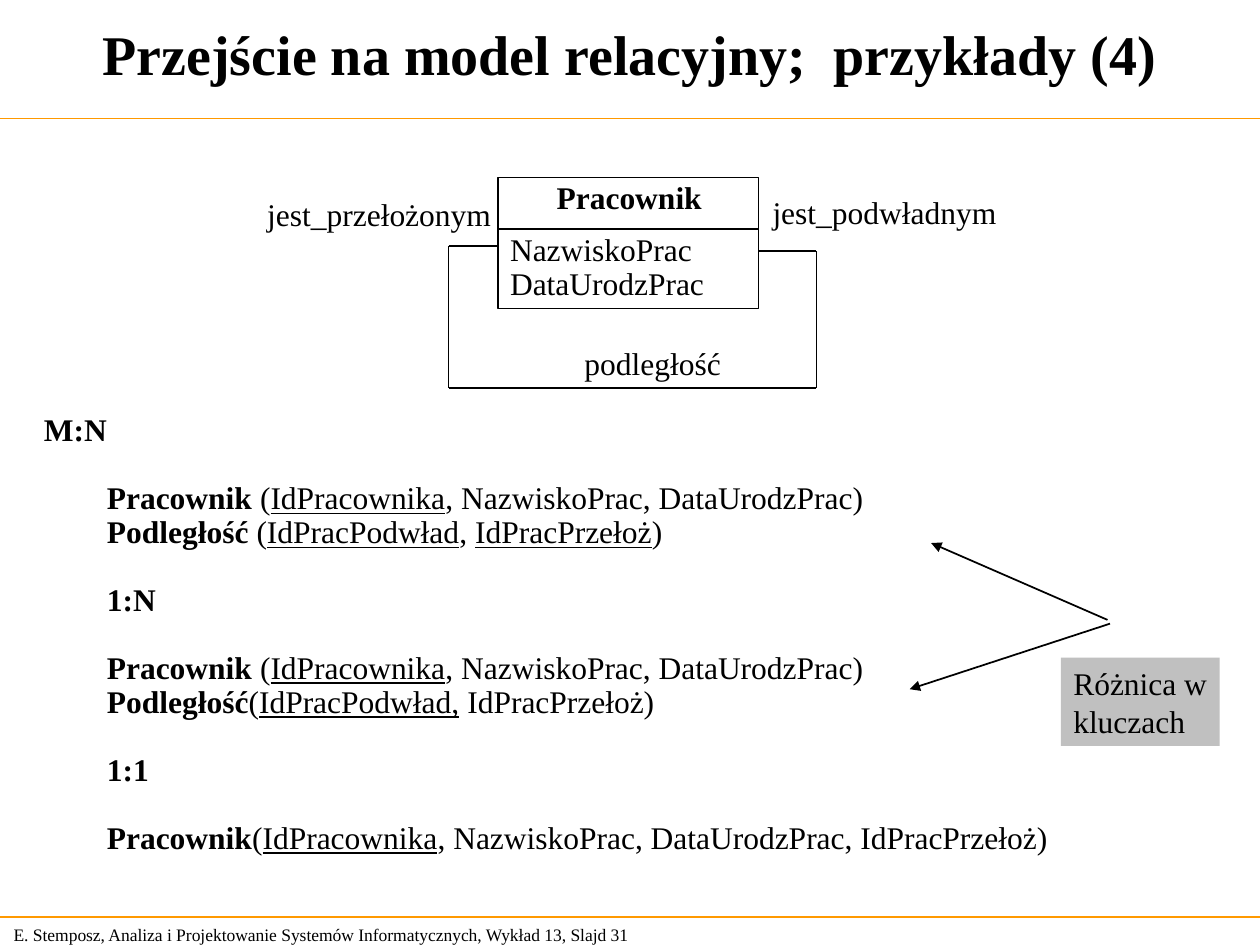
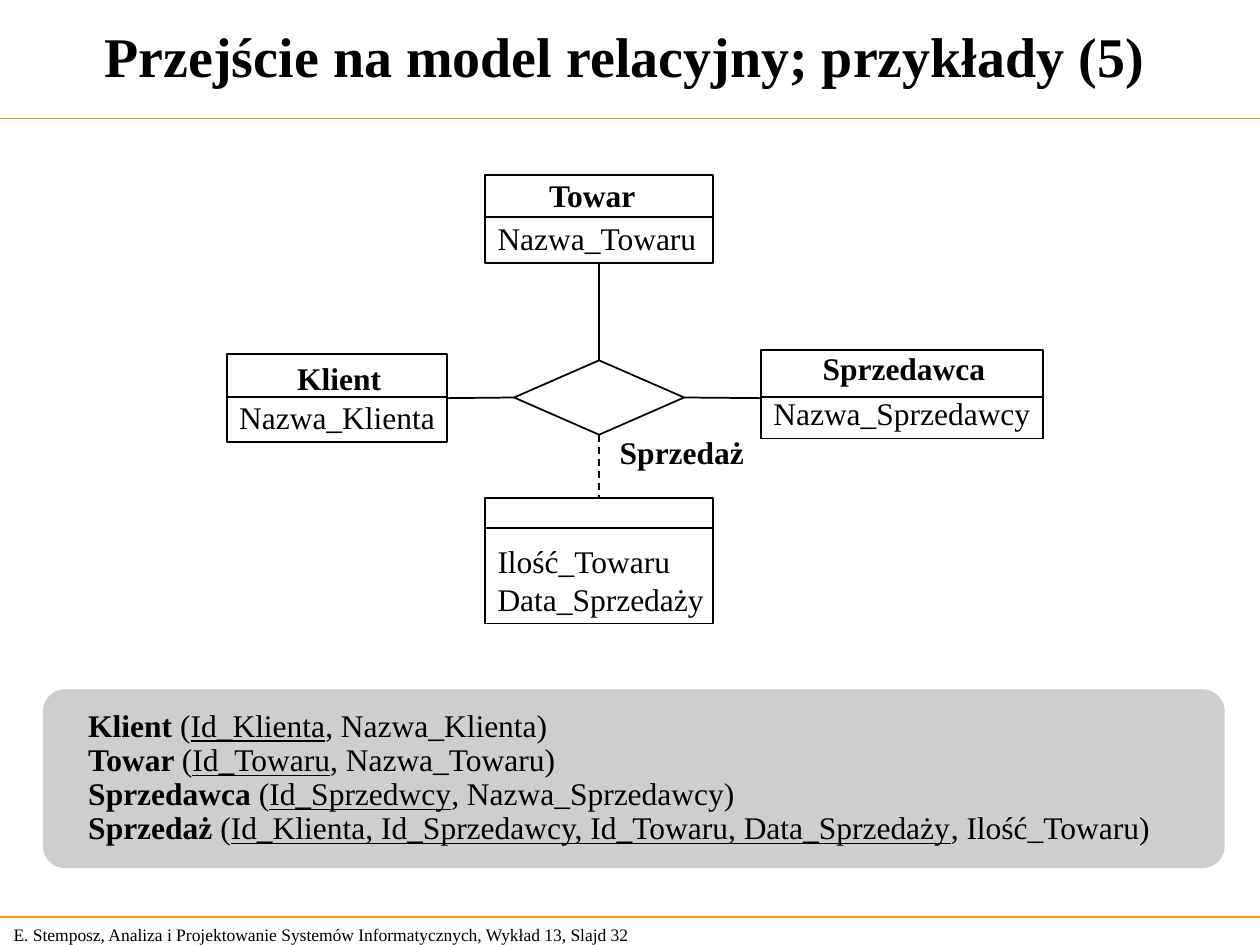
import itertools

import pptx
import pptx.dml.color
import pptx.enum.dml
import pptx.enum.shapes
import pptx.enum.text
import pptx.oxml.ns
import pptx.util
from lxml import etree

Inches = pptx.util.Inches
Pt = pptx.util.Pt
Shape = pptx.enum.shapes.MSO_SHAPE
Anchor = pptx.enum.text.MSO_ANCHOR
Align = pptx.enum.text.PP_ALIGN

COLORS = {
    "text": "000000",
    "line": "000000",
    "rule": "FF9900",
    "note": "C0C0C0",
    "panel": "CECECE",
}
FONT = "Times New Roman"
BODY_SIZE = 18
TIGHT = 0.9
BLANK_LINE = 19.4
FOOTER = "E. Stemposz, Analiza i Projektowanie Systemów Informatycznych, Wykład 13, Slajd {}"
TOP, LEFT, BOTTOM, RIGHT = range(4)


def rgb(name):
    return pptx.dml.color.RGBColor.from_string(COLORS[name])


def add_drawing_element(parent, tag, **attributes):
    etree.SubElement(parent, pptx.oxml.ns.qn(tag), attributes)


def write(shape, paragraphs, size=BODY_SIZE, align=Align.LEFT, anchor=Anchor.MIDDLE,
          spacing=1.0):
    """Fill a shape with paragraphs, each a tuple (runs, indent, points before).

    A run is a tuple (text, style), where style holds "b" for bold, "u" for underlined.
    """
    frame = shape.text_frame
    frame.word_wrap = True
    frame.vertical_anchor = anchor
    frame.margin_left = Inches(0.1)
    frame.margin_right = Inches(0.1 if align == Align.CENTER else 0)
    frame.margin_top = frame.margin_bottom = Inches(0.05)
    for index, (runs, indent, before) in enumerate(paragraphs):
        paragraph = frame.add_paragraph() if index else frame.paragraphs[0]
        paragraph.alignment = align
        paragraph.line_spacing = spacing
        paragraph.space_before = Pt(before)
        if indent:
            paragraph._p.get_or_add_pPr().set("marL", str(Inches(indent)))
        for text, style in runs:
            run = paragraph.add_run()
            run.text = text
            run.font.name = FONT
            run.font.size = Pt(size)
            run.font.bold = "b" in style
            run.font.underline = "u" in style
            run.font.color.rgb = rgb("text")


def lines(*texts, style=""):
    return [([(text, style)], 0, 0) for text in texts]


def relation(name, *parts):
    """Runs of a relation: bold name, then plain and underlined (key) parts in turn."""
    return [(name, "b"), *zip(parts, itertools.cycle(["", "u"]))]


def add_text(slide, box, paragraphs, **options):
    shape = slide.shapes.add_textbox(*map(Inches, box))
    write(shape, paragraphs, **options)


def add_box(slide, kind, box, fill=None, outlined=False):
    shape = slide.shapes.add_shape(kind, *map(Inches, box))
    shape.shadow.inherit = False
    if fill:
        shape.fill.solid()
        shape.fill.fore_color.rgb = rgb(fill)
    else:
        shape.fill.background()
    if outlined:
        shape.line.color.rgb = rgb("line")
        shape.line.width = Pt(1)
    else:
        shape.line.fill.background()
    return shape


def add_line(slide, start, end, color="line", dashed=False, arrow=False):
    connector = slide.shapes.add_connector(
        pptx.enum.shapes.MSO_CONNECTOR.STRAIGHT, *map(Inches, (*start, *end)))
    connector.line.color.rgb = rgb(color)
    connector.line.width = Pt(1)
    if dashed:
        connector.line.dash_style = pptx.enum.dml.MSO_LINE.DASH
    if arrow:
        add_drawing_element(connector.line._get_or_add_ln(), "a:tailEnd", type="triangle")
    add_drawing_element(connector._element.spPr, "a:effectLst")
    return connector


def add_base_slide(presentation, title, title_box, number):
    """Slide with the shared title, orange rules and footer."""
    slide = presentation.slides.add_slide(presentation.slide_layouts[6])
    add_text(slide, (0.01, 7.28, 5.24, 0.27), lines(FOOTER.format(number)), size=10)
    for y in (0.94, 7.28):
        add_line(slide, (0, y), (10, y), color="rule")
    add_text(slide, title_box, lines(title, style="b"), size=32, align=Align.CENTER)
    return slide


def add_entity(slide, box, divider, attributes, name="", name_at=(0, 0), spacing=1.0):
    """Entity box; the divider and the name are placed from its top left corner."""
    left, top, width, height = box
    entity = add_box(slide, Shape.RECTANGLE, box, outlined=True)
    write(entity, lines(*attributes), anchor=Anchor.BOTTOM, spacing=spacing)
    add_line(slide, (left, top + divider), (left + width, top + divider))
    if name:
        dx, dy = name_at
        add_text(slide, (left + dx, top + dy, width - dx, 0.4), lines(name, style="b"),
                 anchor=Anchor.TOP, spacing=spacing)
    return entity


def add_employee_association(slide, left, top):
    """Employee entity with an association that loops back to it."""
    corners = [(0.39, 0.54), (0, 0.54), (0, 1.67), (2.92, 1.67), (2.92, 0.58), (2.46, 0.58)]
    points = [(left + x, top + y) for x, y in corners]
    for start, end in itertools.pairwise(points):
        add_line(slide, start, end)
    label_width, label_height = 2.1, 0.3
    label_centers = {
        "podległość": (1.62, 1.49),
        "jest_podwładnym": (3.46, 0.29),
        "jest_przełożonym": (-0.55, 0.31),
    }
    for label, (x, y) in label_centers.items():
        box = (left + x - label_width / 2, top + y - label_height / 2,
               label_width, label_height)
        add_text(slide, box, lines(label), align=Align.CENTER, spacing=TIGHT)
    add_entity(slide, (left + 0.39, top, 2.07, 1.04), 0.41,
               ["NazwiskoPrac", "DataUrodzPrac"], "Pracownik", (0.37, -0.01), TIGHT)


def add_cardinality_cases(slide, box):
    employee = relation("Pracownik ", "(", "IdPracownika", ", NazwiskoPrac, DataUrodzPrac)")
    many_to_many = relation("Podległość ", "(", "IdPracPodwład", ", ", "IdPracPrzełoż", ")")
    one_to_many = relation("Podległość", "(", "IdPracPodwład,", " IdPracPrzełoż)")
    one_to_one = relation("Pracownik", "(", "IdPracownika",
                          ", NazwiskoPrac, DataUrodzPrac, IdPracPrzełoż)")
    cases = {
        "M:N": [employee, many_to_many],
        "1:N": [employee, one_to_many],
        "1:1": [one_to_one],
    }
    paragraphs = []
    for cardinality, relations in cases.items():
        first = not paragraphs
        paragraphs.append(([(cardinality, "b")], 0 if first else 0.5, 0 if first else BLANK_LINE))
        for index, runs in enumerate(relations):
            paragraphs.append((runs, 0.5, 0 if index else BLANK_LINE))
    add_text(slide, box, paragraphs, spacing=TIGHT)


def add_key_note(slide, left, top):
    note = add_box(slide, Shape.RECTANGLE, (left, top, 1.26, 0.7), fill="note")
    write(note, lines("Różnica w", "kluczach"))
    add_line(slide, (left + 0.39, top - 0.27), (left - 1.2, top + 0.25), arrow=True)
    add_line(slide, (left + 0.37, top - 0.3), (left - 1.03, top - 0.91), arrow=True)


def add_sale_diagram(slide, left, top):
    """Diamond of the sale with the three entities and the attributes it links."""
    diamond = add_box(slide, Shape.DIAMOND, (left + 2.28, top + 1.47, 1.35, 0.59), outlined=True)
    client = add_entity(slide, (left, top + 1.42, 1.75, 0.7), 0.34,
                        ["Nazwa_Klienta"], "Klient", (0.46, -0.01))
    product = add_entity(slide, (left + 2.05, top, 1.81, 0.7), 0.33,
                         ["Nazwa_Towaru"], "Towar", (0.41, -0.04))
    add_entity(slide, (left + 4.24, top + 1.39, 2.24, 0.7), 0.37,
               ["Nazwa_Sprzedawcy"], "Sprzedawca", (0.39, -0.06))
    sale = add_entity(slide, (left + 2.05, top + 2.56, 1.81, 1), 0.24,
                      ["Ilość_Towaru", "Data_Sprzedaży"])
    for site, entity, entity_site in ((TOP, product, BOTTOM), (LEFT, client, RIGHT),
                                      (BOTTOM, sale, TOP)):
        link = add_line(slide, (left, top), (left, top), dashed=entity is sale)
        link.begin_connect(diamond, site)
        link.end_connect(entity, entity_site)
    seller_y = top + 1.77
    seller_link = add_line(slide, (left + 3.63, seller_y), (left + 4.24, seller_y))
    seller_link.begin_connect(diamond, RIGHT)
    add_text(slide, (left + 3.02, top + 2, 1.18, 0.4), lines("Sprzedaż", style="b"),
             anchor=Anchor.TOP)


def add_relations_panel(slide, box):
    panel = add_box(slide, Shape.ROUNDED_RECTANGLE, box, fill="panel")
    panel.adjustments[0] = 0.125
    relations = [
        relation("Klient ", "(", "Id_Klienta", ", Nazwa_Klienta)"),
        relation("Towar ", "(", "Id_Towaru", ", Nazwa_Towaru)"),
        relation("Sprzedawca ", "(", "Id_Sprzedwcy", ", Nazwa_Sprzedawcy)"),
        relation("Sprzedaż ", "(", "Id_Klienta, Id_Sprzedawcy, Id_Towaru, Data_Sprzedaży",
                 ", Ilość_Towaru)"),
    ]
    write(panel, [(runs, 0.21, 0) for runs in relations], spacing=TIGHT)


def add_employee_slide(presentation):
    slide = add_base_slide(presentation, "Przejście na model relacyjny;  przykłady (4)",
                           (0, 0, 10, 0.85), 31)
    add_employee_association(slide, 3.56, 1.41)
    add_cardinality_cases(slide, (0.25, 3.21, 8.28, 3.67))
    add_key_note(slide, 8.42, 5.22)


def add_sale_slide(presentation):
    slide = add_base_slide(presentation, "Przejście na model relacyjny; przykłady (5)",
                           (0, 0.01, 9.92, 0.85), 32)
    add_sale_diagram(slide, 1.8, 1.39)
    add_relations_panel(slide, (0.34, 5.47, 9.38, 1.42))


def main():
    presentation = pptx.Presentation()
    presentation.slide_width = Inches(10)
    presentation.slide_height = Inches(7.5)
    add_employee_slide(presentation)
    add_sale_slide(presentation)
    presentation.save("out.pptx")


if __name__ == "__main__":
    main()
